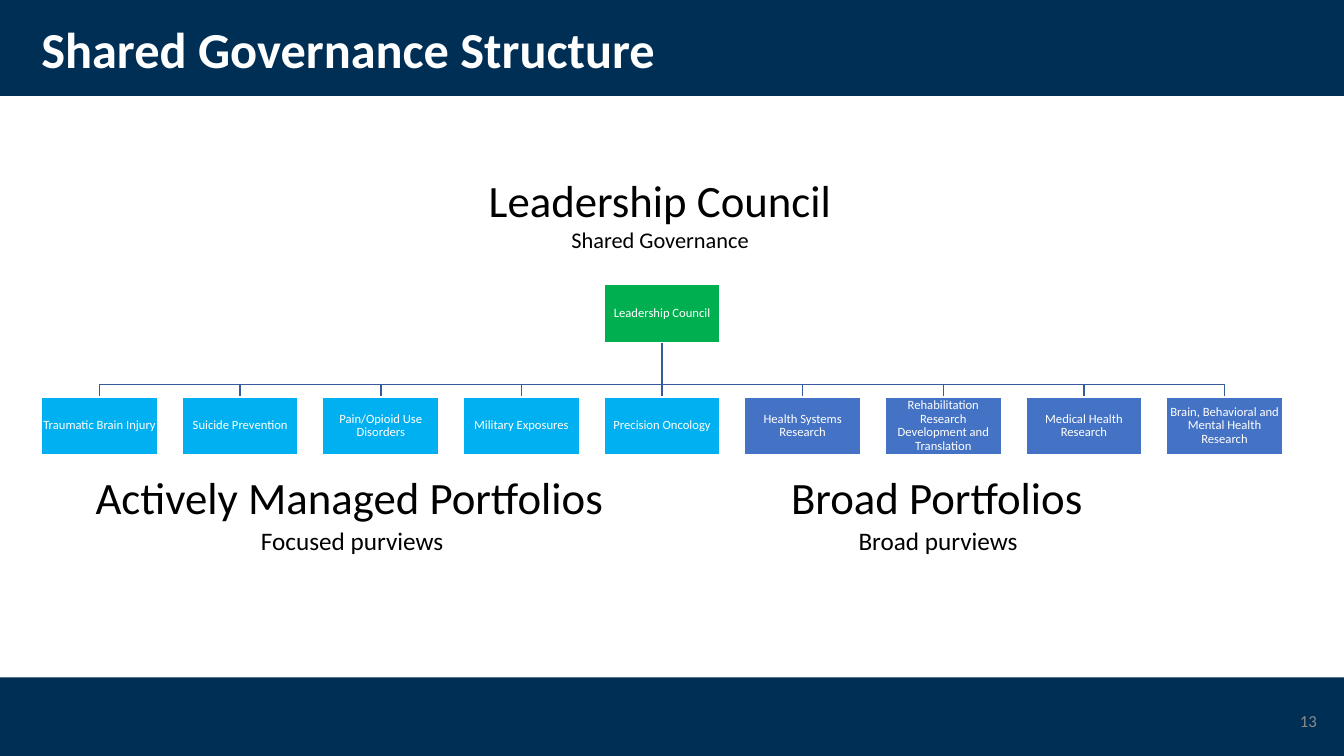
import dataclasses

import pptx
import pptx.dml.color
import pptx.enum.shapes
import pptx.enum.text
import pptx.oxml.ns
import pptx.util
import lxml.etree

Pt = pptx.util.Pt
Align = pptx.enum.text.PP_ALIGN
Anchor = pptx.enum.text.MSO_ANCHOR


@dataclasses.dataclass(frozen=True)
class Theme:
    font: str = "Calibri"
    navy: str = "002F56"
    white: str = "FFFFFF"
    black: str = "000000"
    grey: str = "8C8C8C"
    council: str = "00B050"
    managed: str = "00B0F0"
    broad: str = "4472C4"
    branch: str = "365B9D"
    title_size: int = 36
    heading_size: int = 32
    purview_size: int = 18
    governance_size: int = 16
    number_size: int = 12
    unit_size: int = 9


class SlideBuilder:
    def __init__(self, slide, theme):
        self.shapes = slide.shapes
        self.theme = theme

    def colour(self, value):
        return pptx.dml.color.RGBColor.from_string(value)

    def add_text(self, paragraph, text, size, colour, bold=False, align=None, spacing=None):
        run = paragraph.add_run()
        run.text = text
        run.font.name = self.theme.font
        run.font.size = Pt(size)
        run.font.bold = bold
        run.font.color.rgb = self.colour(colour)
        paragraph.alignment = align
        paragraph.line_spacing = spacing

    def rectangle(self, left, top, width, height, fill):
        shape = self.shapes.add_shape(
            pptx.enum.shapes.MSO_SHAPE.RECTANGLE, Pt(left), Pt(top), Pt(width), Pt(height))
        shape.shadow.inherit = False
        shape.fill.solid()
        shape.fill.fore_color.rgb = self.colour(fill)
        shape.line.fill.background()
        return shape

    def title(self, left, top, width, height, text):
        title = self.shapes.title
        title.left, title.top, title.width, title.height = map(Pt, (left, top, width, height))
        title.text_frame.vertical_anchor = Anchor.MIDDLE
        self.add_text(title.text_frame.paragraphs[0], text, self.theme.title_size,
                      self.theme.white, bold=True, align=Align.LEFT, spacing=0.9)
        # Bring the title in front of the bands
        title.element.getparent().append(title.element)

    def unit(self, left, top, width, height, text, fill):
        box = self.rectangle(left, top, width, height, fill)
        box.line.color.rgb = self.colour(self.theme.white)
        box.line.width = Pt(1)
        frame = box.text_frame
        frame.word_wrap = True
        frame.vertical_anchor = Anchor.MIDDLE
        frame.margin_left = frame.margin_right = Pt(0.45)
        frame.margin_top = frame.margin_bottom = Pt(0.45)
        self.add_text(frame.paragraphs[0], text, self.theme.unit_size, self.theme.white,
                      align=Align.CENTER, spacing=0.9)

    def branch(self, start_x, start_y, bus_y, end_x, end_y):
        straight = start_x == end_x
        if straight:
            line = self.shapes.add_connector(
                pptx.enum.shapes.MSO_CONNECTOR.STRAIGHT,
                Pt(start_x), Pt(start_y), Pt(end_x), Pt(end_y))
        else:
            outline = self.shapes.build_freeform(Pt(start_x), Pt(start_y))
            bends = [(start_x, bus_y), (end_x, bus_y), (end_x, end_y)]
            outline.add_line_segments([(Pt(x), Pt(y)) for x, y in bends], close=False)
            line = outline.convert_to_shape()
            line.fill.background()
        line.line.color.rgb = self.colour(self.theme.branch)
        line.line.width = Pt(1)
        if straight:
            lxml.etree.SubElement(line.element.spPr, pptx.oxml.ns.qn("a:effectLst"))
        else:
            line.shadow.inherit = False

    def label(self, left, top, width, height, lines):
        box = self.shapes.add_textbox(Pt(left), Pt(top), Pt(width), Pt(height))
        frame = box.text_frame
        frame.word_wrap = False
        frame.auto_size = pptx.enum.text.MSO_AUTO_SIZE.SHAPE_TO_FIT_TEXT
        for index, (text, size, align) in enumerate(lines):
            paragraph = frame.add_paragraph() if index else frame.paragraphs[0]
            self.add_text(paragraph, text, size, self.theme.black, align=align)

    def page_number(self, left, top, width, height, text):
        box = self.shapes.add_textbox(Pt(left), Pt(top), Pt(width), Pt(height))
        box.text_frame.word_wrap = True
        box.text_frame.vertical_anchor = Anchor.MIDDLE
        self.add_text(box.text_frame.paragraphs[0], text, self.theme.number_size,
                      self.theme.grey, align=Align.RIGHT)


def main():
    theme = Theme()
    deck = pptx.Presentation()
    deck.slide_width, deck.slide_height = Pt(960), Pt(540)
    builder = SlideBuilder(deck.slides.add_slide(deck.slide_layouts[5]), theme)

    # Bands and title
    builder.rectangle(0, 0, 960, 68.5, theme.navy)
    builder.rectangle(0, 483.8, 960, 56.2, theme.navy)
    builder.title(22.3, 13, 828, 49, "Shared Governance Structure")

    # Organisation chart: the council sits above the middle portfolio
    managed = ["Traumatic Brain Injury", "Suicide Prevention", "Pain/Opioid Use Disorders",
               "Military Exposures", "Precision Oncology"]
    broad = ["Health Systems Research", "Rehabilitation Research Development and Translation",
             "Medical Health Research", "Brain, Behavioral and Mental Health Research"]
    portfolios = ([(name, theme.managed) for name in managed]
                  + [(name, theme.broad) for name in broad])
    unit_width, unit_height, pitch = 83, 41.5, 100.45
    council_top, bus_y, portfolio_top = 203.2, 274.7, 283.5
    lefts = [29.6 + pitch * column for column in range(len(portfolios))]
    council_left = lefts[len(lefts) // 2]

    for left in lefts:
        builder.branch(council_left + unit_width / 2, council_top + unit_height, bus_y,
                       left + unit_width / 2, portfolio_top)
    builder.unit(council_left, council_top, unit_width, unit_height,
                 "Leadership Council", theme.council)
    for left, (name, fill) in zip(lefts, portfolios):
        builder.unit(left, portfolio_top, unit_width, unit_height, name, fill)

    # Group labels
    builder.label(342, 119.6, 262, 65.5, [
        ("Leadership Council", theme.heading_size, Align.LEFT),
        ("Shared Governance", theme.governance_size, Align.CENTER)])
    for left, width, heading, purview_left, purview_width, purview in [
            (61.2, 381.6, "Actively Managed Portfolios", 179.3, 146, "Focused purviews"),
            (558, 225.4, "Broad Portfolios", 606.2, 129.6, "Broad purviews")]:
        builder.label(left, 332, width, 46, [(heading, theme.heading_size, Align.LEFT)])
        builder.label(purview_left, 371.7, purview_width, 29,
                      [(purview, theme.purview_size, Align.LEFT)])

    # Page number
    builder.page_number(731.7, 500.5, 216, 28.8, "13")
    deck.save("out.pptx")


if __name__ == "__main__":
    main()
